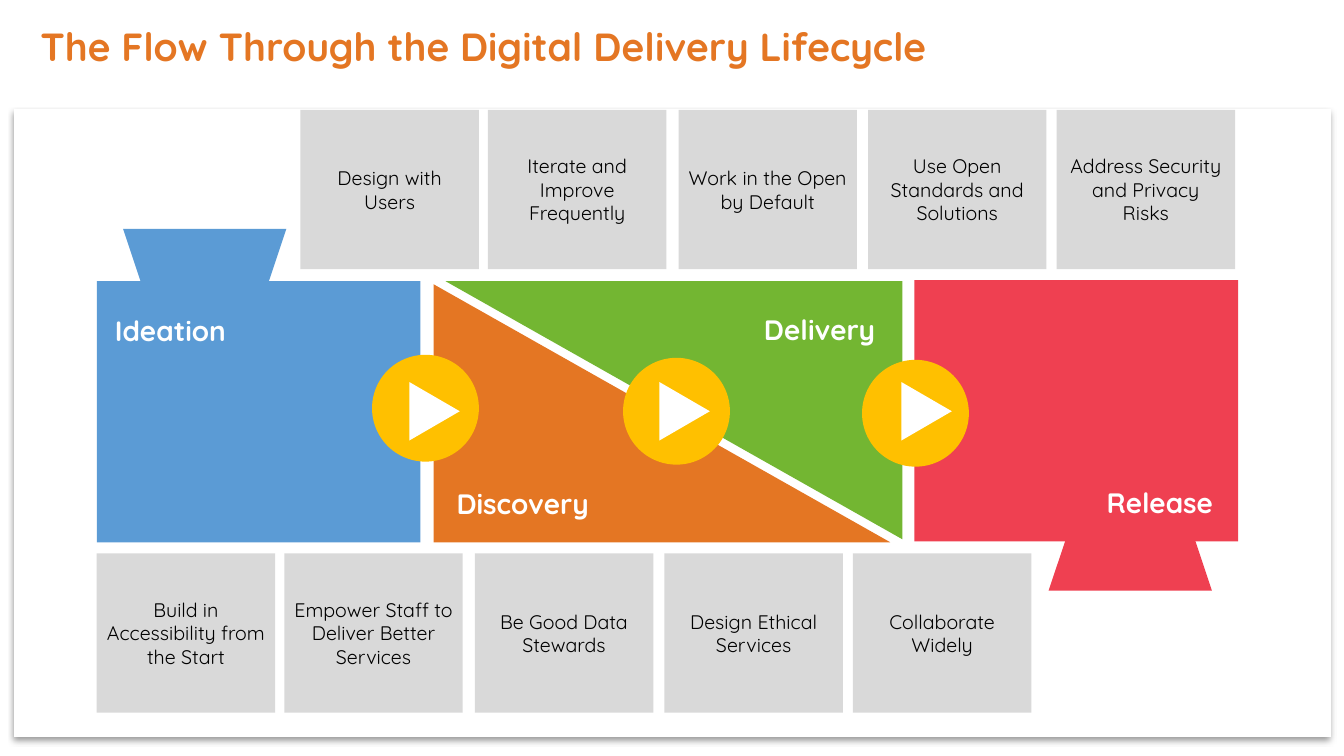
import pptx
import pptx.util
import pptx.dml.color
import pptx.enum.shapes
import pptx.enum.text
import pptx.oxml
from pptx.util import Inches

SHAPE = pptx.enum.shapes.MSO_SHAPE
ALIGN = pptx.enum.text.PP_ALIGN
ANCHOR = pptx.enum.text.MSO_ANCHOR
BLUE, ORANGE, GREEN, RED = "5B9BD5", "E47623", "73B632", "EF4051"
YELLOW, GREY, WHITE, BLACK = "FFC000", "D9D9D9", "FFFFFF", "000000"

prs = pptx.Presentation()
prs.slide_width, prs.slide_height = Inches(13.33), Inches(7.5)
s = prs.slides.add_slide(prs.slide_layouts[5])


def add_block(kind, x, y, w, h, color, rotation=0):
    sp = s.shapes.add_shape(kind, Inches(x), Inches(y), Inches(w), Inches(h))
    sp.shadow.inherit = False
    sp.fill.solid()
    sp.fill.fore_color.rgb = pptx.dml.color.RGBColor.from_string(color)
    sp.line.fill.background()
    sp.rotation = rotation
    return sp


def write(sp, text, size=14, color=BLACK, bold=False, align=ALIGN.LEFT, anchor=ANCHOR.MIDDLE):
    tf = sp.text_frame
    tf.word_wrap = True
    tf.auto_size = pptx.enum.text.MSO_AUTO_SIZE.NONE
    tf.vertical_anchor = anchor
    p = tf.paragraphs[0]
    p.alignment = align
    r = p.add_run()
    r.text = text
    r.font.name = "Quicksand"
    r.font.size = pptx.util.Pt(size)
    r.font.bold = bold
    r.font.color.rgb = pptx.dml.color.RGBColor.from_string(color)


panel = add_block(SHAPE.RECTANGLE, 0.14, 1.08, 13.06, 6.23, WHITE)
effects = panel.shadow.inherit = False
effects = panel.element.spPr.find(pptx.oxml.ns.qn("a:effectLst"))
effects.append(pptx.oxml.parse_xml(
    '<a:outerShdw xmlns:a="http://schemas.openxmlformats.org/drawingml/2006/main"'
    ' blurRad="50800" dist="38100" dir="5400000" algn="t" rotWithShape="0">'
    '<a:srgbClr val="000000"><a:alpha val="40000"/></a:srgbClr></a:outerShdw>'))

title = s.shapes.title
title.left, title.top, title.width, title.height = Inches(0.3), Inches(0.29), Inches(10.08), Inches(0.45)
write(title, "The Flow Through the Digital Delivery Lifecycle",
      size=28, color=ORANGE, bold=True, anchor=ANCHOR.BOTTOM)

for kind, x, y, w, h, color, rotation in [
    (SHAPE.RECTANGLE, 0.96, 2.79, 3.21, 2.59, BLUE, 0),
    (SHAPE.RIGHT_TRIANGLE, 4.3, 2.82, 4.53, 2.56, ORANGE, 0),
    (SHAPE.RIGHT_TRIANGLE, 4.42, 2.79, 4.53, 2.56, GREEN, 180),
    (SHAPE.RECTANGLE, 9.07, 2.78, 3.21, 2.59, RED, 0),
    (SHAPE.FLOWCHART_MANUAL_OPERATION, 1.22, 2.27, 1.62, 0.97, BLUE, 0),
    (SHAPE.FLOWCHART_MANUAL_OPERATION, 10.4, 4.89, 1.62, 0.97, RED, 180),
]:
    add_block(kind, x, y, w, h, color, rotation)

for text, x, y, color, align in [
    ("Ideation", 1.04, 2.98, BLUE, ALIGN.LEFT),
    ("Discovery", 4.43, 4.7, ORANGE, ALIGN.LEFT),
    ("Delivery", 6.13, 2.97, GREEN, ALIGN.RIGHT),
    ("Release", 9.48, 4.69, RED, ALIGN.RIGHT),
]:
    sp = add_block(SHAPE.RECTANGLE, x, y, 2.65, 0.59, color)
    write(sp, text, size=20, color=WHITE, bold=True, align=align)

for circle_x, circle_y, arrow_x in [(3.69, 3.52, 4.02), (6.18, 3.55, 6.5), (8.55, 3.57, 8.9)]:
    add_block(SHAPE.OVAL, circle_x, circle_y, 1.06, 1.06, YELLOW)
    add_block(SHAPE.ISOSCELES_TRIANGLE, arrow_x, 3.83, 0.58, 0.5, WHITE, 90)

columns = [0.96, 2.82, 4.71, 6.59, 8.46]
for indent, y, principles in [
    (2.02, 1.09, ["Design with Users", "Iterate and Improve Frequently", "Work in the Open by Default",
                  "Use Open Standards and Solutions", "Address Security and Privacy Risks"]),
    (0, 5.49, ["Build in Accessibility from the Start", "Empower Staff to Deliver Better Services",
               "Be Good Data Stewards", "Design Ethical Services", "Collaborate Widely"]),
]:
    for x, text in zip(columns, principles):
        sp = add_block(SHAPE.RECTANGLE, x + indent, y, 1.77, 1.58, GREY)
        write(sp, text, align=ALIGN.CENTER)

prs.save("out.pptx")
